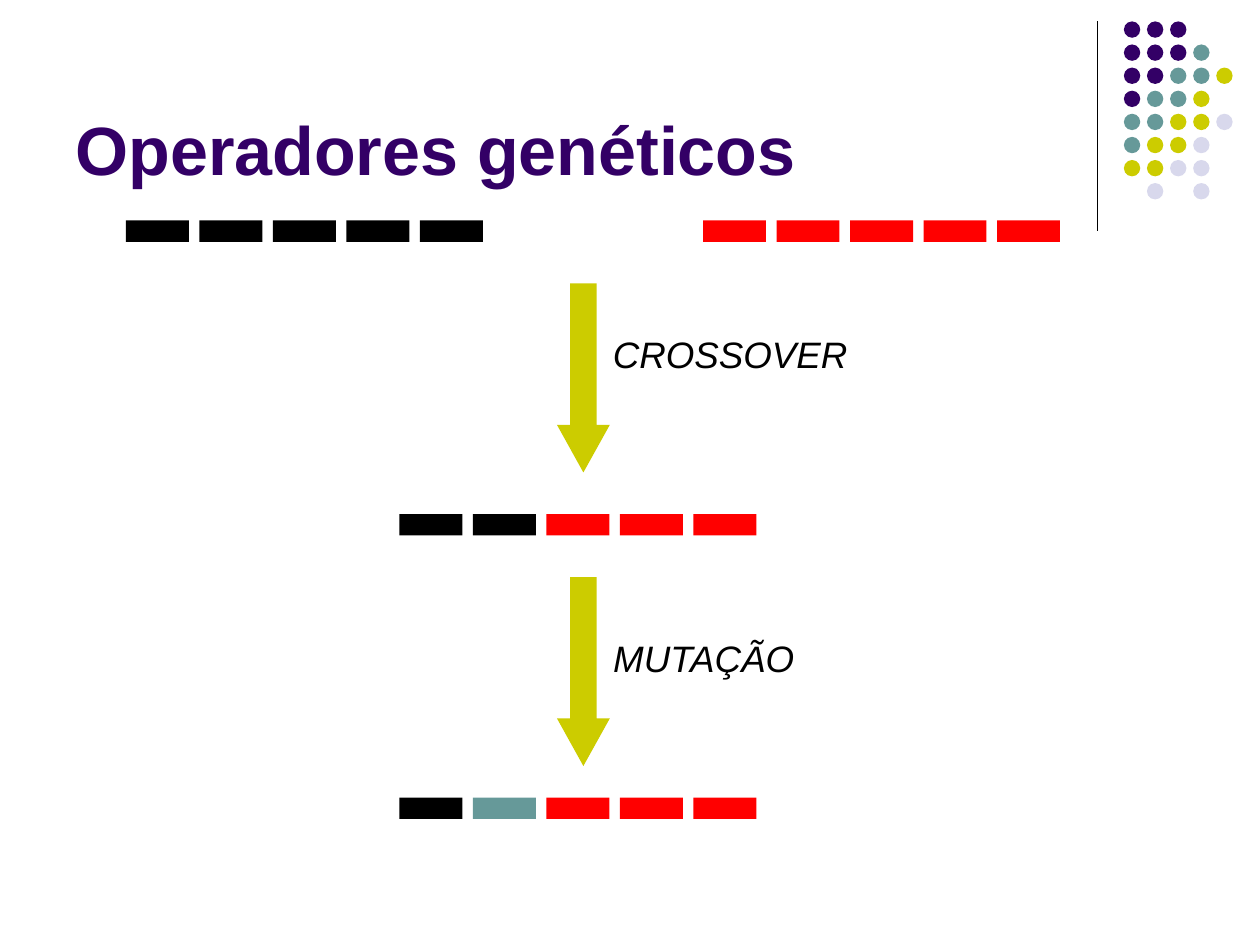
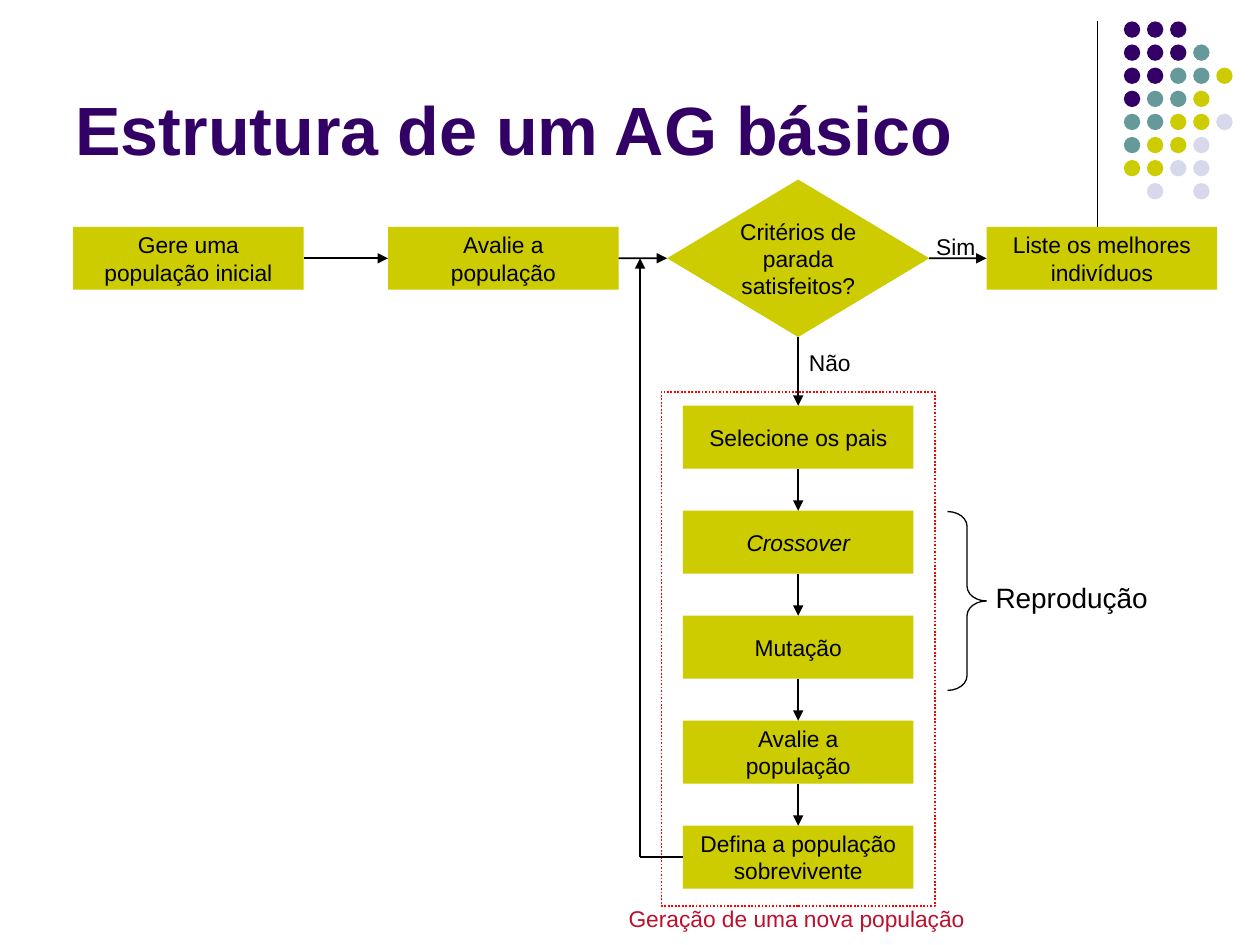
from dataclasses import dataclass

from lxml import etree
from pptx import Presentation
from pptx.dml.color import RGBColor
from pptx.enum.dml import MSO_LINE
from pptx.enum.shapes import MSO_CONNECTOR, MSO_SHAPE
from pptx.enum.text import MSO_ANCHOR, PP_ALIGN
from pptx.oxml.ns import qn
from pptx.util import Inches, Pt

RECT, OVAL = MSO_SHAPE.RECTANGLE, MSO_SHAPE.OVAL
DIAMOND, DOWN_ARROW = MSO_SHAPE.DIAMOND, MSO_SHAPE.DOWN_ARROW
RIGHT_BRACE = MSO_SHAPE.RIGHT_BRACE
STRAIGHT = MSO_CONNECTOR.STRAIGHT
DOTTED = MSO_LINE.ROUND_DOT
LEFT, CENTER = PP_ALIGN.LEFT, PP_ALIGN.CENTER
TOP_ANCHOR, MIDDLE, BOTTOM_ANCHOR = MSO_ANCHOR.TOP, MSO_ANCHOR.MIDDLE, MSO_ANCHOR.BOTTOM
TOP_SIDE, LEFT_SIDE, BOTTOM_SIDE, RIGHT_SIDE = range(4)


@dataclass(frozen=True)
class Theme:
    font: str = "Arial"
    purple: str = "330066"
    teal: str = "669999"
    olive: str = "CCCC00"
    lilac: str = "D8D8EC"
    black: str = "000000"
    red: str = "FF0000"
    crimson: str = "BC102D"
    title: int = 39
    operator: int = 21
    bracket: int = 16
    step: int = 13
    thin: float = 0.75
    flow: float = 1


THEME = Theme()

# Content

DOT_COLORS = {"P": THEME.purple, "T": THEME.teal, "O": THEME.olive, "L": THEME.lilac}
DOT_ROWS = ["PPP", "PPPT", "PPTTO", "PTTO", "TTOOL", "TOOL", "OOLL", " L L"]

OPERATORS_TITLE = "Operadores genéticos"
GENE_COLORS = {"B": THEME.black, "R": THEME.red, "T": THEME.teal}
CHROMOSOMES = [  # genes, left, top
    ("BBBBB", 1, 1.75),
    ("RRRRR", 5.58, 1.75),
    ("BBRRR", 3.17, 4.08),
    ("BTRRR", 3.17, 6.33),
]
OPERATORS = [  # name, arrow top, label box
    ("CROSSOVER", 2.25, (4.67, 2.58, 2.25, 0.45)),
    ("MUTAÇÃO", 4.58, (4.75, 5, 1.67, 0.45)),
]

STRUCTURE_TITLE = "Estrutura de um AG básico"
START = "Gere uma população inicial"
EVALUATION = "Avalie a população"
DECISION = "Critérios de parada satisfeitos?"
RESULT = "Liste os melhores indivíduos"
GENERATION_STEPS = [  # text, italic, side margin
    ("Selecione os pais", False, 0.18),
    ("Crossover", True, 0.18),
    ("Mutação", False, 0.18),
    ("Avalie a população", False, 0.18),
    ("Defina a população sobrevivente", False, 0.1),
]
FLOW_LABELS = [  # text, box, size, color
    ("Sim", (7.25, 1.8, 0.67, 0.32), THEME.step, THEME.black),
    ("Não", (6.25, 2.72, 0.67, 0.32), THEME.step, THEME.black),
    ("Geração de uma nova população", (4.53, 7.13, 3.58, 0.32), THEME.step, THEME.crimson),
    ("Reprodução", (7.76, 4.56, 1.49, 0.37), THEME.bracket, THEME.black),
]

# Layout, in inches

DOT_ORIGIN, DOT_SIZE, DOT_PITCH = (8.92, 0.17), 0.13, 11 / 60
GENE_WIDTH, GENE_HEIGHT, GENE_PITCH = 0.5, 0.17, 7 / 12
STEP_WIDTH, STEP_HEIGHT, STEP_PITCH = 1.83, 0.5, 5 / 6
ROW_TOP, COLUMN_LEFT, COLUMN_TOP = 1.8, 5.42, 3.22
DECISION_WIDTH, DECISION_HEIGHT = 2.08, 1.25
ROW_MIDDLE = ROW_TOP + STEP_HEIGHT / 2
COLUMN_MIDDLE = COLUMN_LEFT + STEP_WIDTH / 2
LOOP_LEFT = 5.08


def rgb(color):
    return RGBColor.from_string(color)


def write(shape, text, *, size, color=THEME.black, bold=False, italic=False,
          align=CENTER, anchor=MIDDLE, side=0.1, edge=0.05):
    """Set the shape's text; side and edge are the margins in inches."""
    frame = shape.text_frame
    frame.word_wrap = True
    frame.vertical_anchor = anchor
    frame.margin_left = frame.margin_right = Inches(side)
    frame.margin_top = frame.margin_bottom = Inches(edge)
    paragraph = frame.paragraphs[0]
    paragraph.text = text
    paragraph.alignment = align
    font = paragraph.font
    font.name, font.size = THEME.font, Pt(size)
    font.bold, font.italic = bold, italic
    font.color.rgb = rgb(color)


def add_label(slide, text, box, **text_format):
    write(slide.shapes.add_textbox(*map(Inches, box)), text, **text_format)


def add_figure(slide, preset, box, fill=None, line=None, weight=1):
    figure = slide.shapes.add_shape(preset, *map(Inches, box))
    figure.shadow.inherit = False
    if fill:
        figure.fill.solid()
        figure.fill.fore_color.rgb = rgb(fill)
    else:
        figure.fill.background()
    if line:
        figure.line.color.rgb = rgb(line)
        figure.line.width = Pt(weight)
    else:
        figure.line.fill.background()
    return figure


def add_line(slide, start, end, weight=THEME.flow, arrow=True):
    """Draw a line; each end is a point (x, y) or a joined (shape, side)."""
    line = slide.shapes.add_connector(STRAIGHT, 0, 0, 0, 0)
    if isinstance(start[0], (int, float)):
        line.begin_x, line.begin_y = map(Inches, start)
    else:
        line.begin_connect(*start)
    if isinstance(end[0], (int, float)):
        line.end_x, line.end_y = map(Inches, end)
    else:
        line.end_connect(*end)
    line.line.color.rgb = rgb(THEME.black)
    line.line.width = Pt(weight)
    if arrow:
        etree.SubElement(line.line._get_or_add_ln(), qn("a:tailEnd"), type="triangle")
    etree.SubElement(line._element.spPr, qn("a:effectLst"))


def add_titled_slide(deck, title, box):
    """Add a blank slide with the shared rule, dot pattern and title."""
    slide = deck.slides.add_slide(deck.slide_layouts[6])
    add_line(slide, (8.71, 0.17), (8.71, 1.83), THEME.thin, arrow=False)
    left, top = DOT_ORIGIN
    for row, dots in enumerate(DOT_ROWS):
        for column, dot in enumerate(dots):
            if dot in DOT_COLORS:
                place = (left + column * DOT_PITCH, top + row * DOT_PITCH)
                add_figure(slide, OVAL, (*place, DOT_SIZE, DOT_SIZE), DOT_COLORS[dot])
    add_label(slide, title, box, size=THEME.title, color=THEME.purple,
              bold=True, align=LEFT, anchor=BOTTOM_ANCHOR)
    return slide


def add_step(slide, text, left, top, italic=False, side=0.18):
    step = add_figure(slide, RECT, (left, top, STEP_WIDTH, STEP_HEIGHT), THEME.olive)
    write(step, text, size=THEME.step, italic=italic, side=side, edge=0)
    return step


def build_operators(deck):
    slide = add_titled_slide(deck, OPERATORS_TITLE, (0.5, 0.13, 8.25, 1.42))
    for genes, left, top in CHROMOSOMES:
        for position, gene in enumerate(genes):
            box = (left + position * GENE_PITCH, top, GENE_WIDTH, GENE_HEIGHT)
            add_figure(slide, RECT, box, GENE_COLORS[gene])
    for name, arrow_top, label_box in OPERATORS:
        arrow = add_figure(slide, DOWN_ARROW, (4.42, arrow_top, 0.42, 1.5), THEME.olive)
        arrow.adjustments[0], arrow.adjustments[1] = 0.5, 0.9
        add_label(slide, name, label_box, size=THEME.operator, italic=True, anchor=TOP_ANCHOR)


def build_structure(deck):
    slide = add_titled_slide(deck, STRUCTURE_TITLE, (0.5, 0.44, 8.25, 0.95))

    start = add_step(slide, START, 0.58, ROW_TOP)
    evaluation = add_step(slide, EVALUATION, 3.08, ROW_TOP)
    result = add_step(slide, RESULT, 7.83, ROW_TOP)
    decision_box = (COLUMN_MIDDLE - DECISION_WIDTH / 2, ROW_MIDDLE - DECISION_HEIGHT / 2,
                    DECISION_WIDTH, DECISION_HEIGHT)
    decision = add_figure(slide, DIAMOND, decision_box, THEME.olive)
    write(decision, DECISION, size=THEME.step, side=0, edge=0)
    generation = [
        add_step(slide, text, COLUMN_LEFT, COLUMN_TOP + row * STEP_PITCH, italic, side)
        for row, (text, italic, side) in enumerate(GENERATION_STEPS)
    ]

    frame = add_figure(slide, RECT, (5.25, 3.11, 2.17, 4.08), line=THEME.red)
    frame.line.dash_style = DOTTED
    brace = add_figure(slide, RIGHT_BRACE, (7.52, 4.06, 0.31, 1.42),
                       line=THEME.black, weight=THEME.thin)
    brace.adjustments[0] = 0.38

    across = [start, evaluation, decision, result]
    for source, target in zip(across, across[1:]):
        add_line(slide, (source, RIGHT_SIDE), (target, LEFT_SIDE))
    down = [decision, *generation]
    for source, target in zip(down, down[1:]):
        add_line(slide, (source, BOTTOM_SIDE), (target, TOP_SIDE))
    loop_bottom = COLUMN_TOP + (len(generation) - 1) * STEP_PITCH + STEP_HEIGHT / 2
    loop_corner = (LOOP_LEFT, loop_bottom)
    add_line(slide, (generation[-1], LEFT_SIDE), loop_corner, arrow=False)
    add_line(slide, loop_corner, (LOOP_LEFT, ROW_MIDDLE))

    for text, box, size, color in FLOW_LABELS:
        add_label(slide, text, box, size=size, color=color, anchor=TOP_ANCHOR)


def main():
    deck = Presentation()
    deck.slide_width, deck.slide_height = Inches(10), Inches(7.5)
    build_operators(deck)
    build_structure(deck)
    deck.save("out.pptx")


if __name__ == "__main__":
    main()
